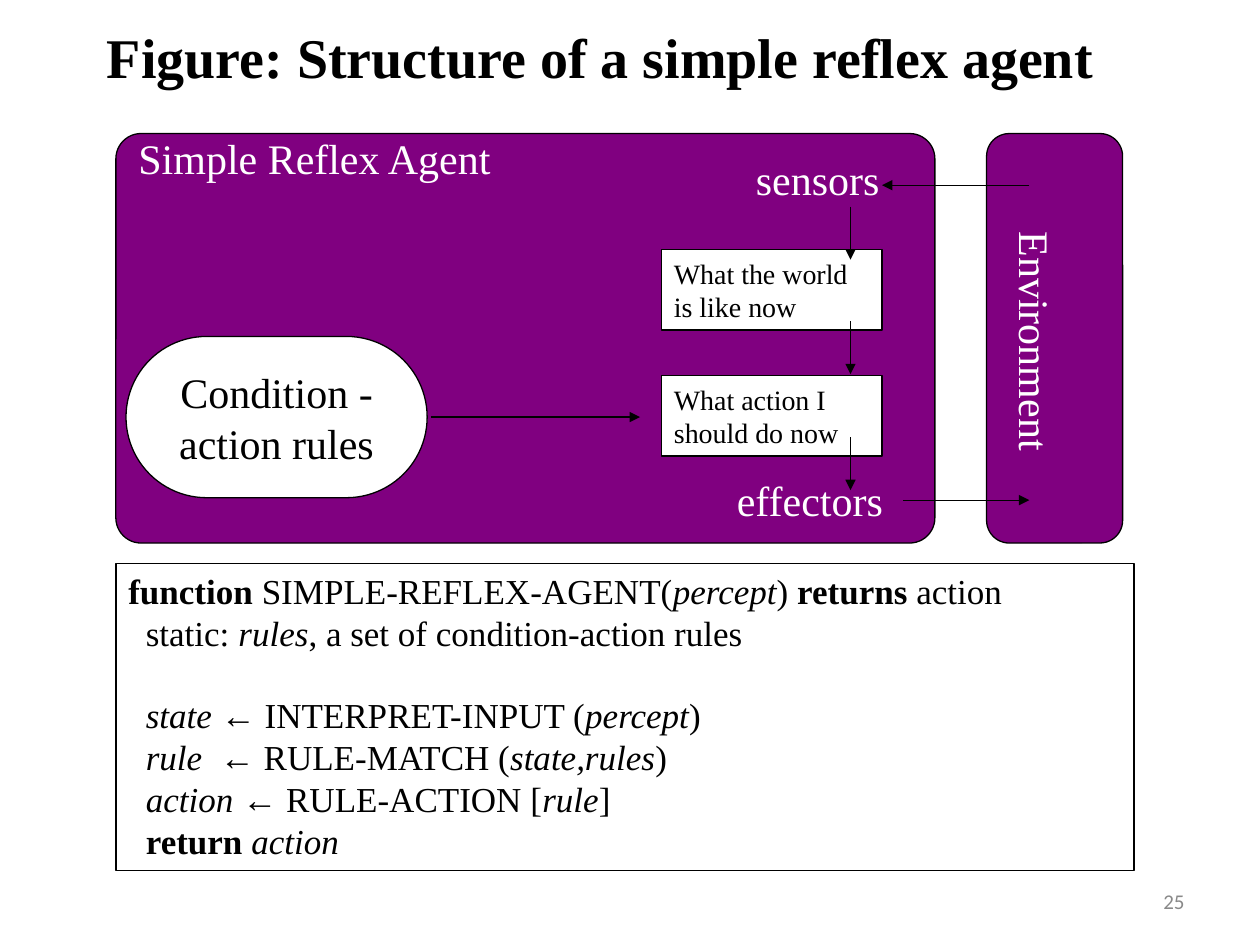
from lxml import etree
from pptx import Presentation
from pptx.dml.color import RGBColor
from pptx.enum.shapes import MSO_CONNECTOR, MSO_SHAPE
from pptx.enum.text import MSO_ANCHOR, PP_ALIGN
from pptx.oxml.ns import qn
from pptx.util import Inches, Pt

RECT, ROUNDED = MSO_SHAPE.RECTANGLE, MSO_SHAPE.ROUNDED_RECTANGLE
LEFT, CENTER, RIGHT = PP_ALIGN.LEFT, PP_ALIGN.CENTER, PP_ALIGN.RIGHT
TOP, MIDDLE = MSO_ANCHOR.TOP, MSO_ANCHOR.MIDDLE
COLORS = {"panel": "800080", "white": "FFFFFF", "ink": "000000", "number": "898989"}
SERIF, ARROW_FONT, NUMBER_FONT = "Times New Roman", "Arial", "Calibri"

TITLE = "Figure: Structure of a simple reflex agent"
PAGE_NUMBER = "25"
STEPS = ["What the world is like now", "What action I should do now"]
RULES = "Condition - action rules"

# Each line is a list of (text, style): b bold, i italic, a arrow, "" plain.
PROGRAM = [
    [("function", "b"), (" SIMPLE-REFLEX-AGENT(", ""), ("percept", "i"), (") ", ""),
     ("returns", "b"), (" action", "")],
    [("  static: ", ""), ("rules", "i"), (", a set of condition-action rules", "")],
    [("  ", ""), ("state ", "i"), ("←", "a"), (" INTERPRET-INPUT (", ""),
     ("percept", "i"), (")", "")],
    [("  ", ""), ("rule  ", "i"), ("←", "a"), (" RULE-MATCH (", ""),
     ("state,rules", "i"), (")", "")],
    [("  ", ""), ("action ", "i"), ("←", "a"), (" RULE-ACTION [", ""),
     ("rule", "i"), ("]", "")],
    [("  ", ""), ("return ", "b"), ("action", "i")],
]
BODY_START = 2  # first program line after the declarations
BODY_GAP = 23

# Shared guides of the diagram, in inches
EDGE, PANEL_TOP, PANEL_HEIGHT = 0.92, 1.06, 3.25
CORNER = 0.18
STEP_LEFT, STEP_TOP, STEP_WIDTH, STEP_HEIGHT, STEP_PITCH = 5.25, 1.98, 1.75, 0.64, 1
FLOW_X, FLOW_LENGTH = 6.75, 0.42
ENVIRONMENT_X = 8.17
RULES_TOP, RULES_HEIGHT = 2.67, 1.28
RULES_Y = RULES_TOP + RULES_HEIGHT / 2

LABELS = [  # text, box, wraps, rotation
    ("Simple Reflex Agent", (1, 1, 3.01, 0.5), False, 0),
    ("sensors", (5.9, 1.17, 1.18, 0.5), False, 0),
    ("effectors", (5.75, 3.72, 1.5, 0.5), True, 0),
    ("Environment", (7.25, 2.46, 1.94, 0.5), False, 90),
]
ARROWS = [(FLOW_X, y, FLOW_X, y + FLOW_LENGTH) for y in (1.64, 2.55, 3.47)] + [
    (3.42, RULES_Y, 5.08, RULES_Y),
    (ENVIRONMENT_X, 1.47, 7, 1.47),
    (7.17, 3.97, ENVIRONMENT_X, 3.97),
]


def rgb(name):
    return RGBColor.from_string(COLORS[name])


def add_run(paragraph, text, size, color="ink", style="", font=SERIF):
    run = paragraph.add_run()
    run.text = text
    run.font.name = ARROW_FONT if style == "a" else font
    run.font.size = Pt(size)
    run.font.color.rgb = rgb(color)
    run.font.bold = style == "b"
    run.font.italic = style == "i"


def set_frame(shape, anchor=TOP, wrap=True):
    frame = shape.text_frame
    frame.word_wrap = wrap
    frame.vertical_anchor = anchor
    return frame


def write(shape, text, size, color="ink", align=LEFT, anchor=TOP, wrap=True,
          style="", font=SERIF):
    paragraph = set_frame(shape, anchor, wrap).paragraphs[0]
    paragraph.alignment = align
    add_run(paragraph, text, size, color, style, font)


def add_box(slide, kind, box, fill=None, corner=None):
    """Add an outlined shape; corner is the radius in inches."""
    shape = slide.shapes.add_shape(kind, *map(Inches, box))
    shape.shadow.inherit = False
    shape.line.color.rgb = rgb("ink")
    shape.line.width = Pt(0.75)
    if fill:
        shape.fill.solid()
        shape.fill.fore_color.rgb = rgb(fill)
    else:
        shape.fill.background()
    if corner is not None:
        shape.adjustments[0] = corner / min(box[2:])
    return shape


def add_text(slide, box):
    return slide.shapes.add_textbox(*map(Inches, box))


def add_arrow(slide, ends):
    arrow = slide.shapes.add_connector(MSO_CONNECTOR.STRAIGHT, *map(Inches, ends))
    arrow.line.color.rgb = rgb("ink")
    arrow.line.width = Pt(0.75)
    etree.SubElement(arrow.line._get_or_add_ln(), qn("a:tailEnd"), type="triangle")
    etree.SubElement(arrow._element.spPr, qn("a:effectLst"))


def add_diagram(slide):
    for left, width in ((EDGE, 6.5), (7.83, 1.08)):
        add_box(slide, ROUNDED, (left, PANEL_TOP, width, PANEL_HEIGHT), "panel", CORNER + 0.02 * (width > 2))
    for row, step in enumerate(STEPS):
        box = (STEP_LEFT, STEP_TOP + row * STEP_PITCH, STEP_WIDTH, STEP_HEIGHT)
        write(add_box(slide, RECT, box, "white"), step, 16, align=LEFT, anchor=MIDDLE)
    rules = add_box(slide, ROUNDED, (1, RULES_TOP, 2.39, RULES_HEIGHT), "white",
                    RULES_HEIGHT / 2)
    write(rules, RULES, 24, align=CENTER, anchor=MIDDLE)
    for text, box, wrap, rotation in LABELS:
        label = add_text(slide, box)
        label.rotation = rotation
        write(label, text, 24, "white", wrap=wrap)
    for ends in ARROWS:
        add_arrow(slide, ends)


def add_program(slide):
    frame = set_frame(add_box(slide, RECT, (EDGE, 4.47, 8.08, 2.44)))
    for number, line in enumerate(PROGRAM):
        paragraph = frame.add_paragraph() if number else frame.paragraphs[0]
        paragraph.alignment = LEFT
        if number == BODY_START:
            paragraph.space_before = Pt(BODY_GAP)
        for text, style in line:
            add_run(paragraph, text, 20, style=style)


def main():
    deck = Presentation()
    deck.slide_width, deck.slide_height = Inches(10), Inches(7.5)
    slide = deck.slides.add_slide(deck.slide_layouts[6])
    add_diagram(slide)
    add_program(slide)
    write(add_text(slide, (0.75, 0.13, 8.12, 0.64)), TITLE, 32, style="b")
    write(add_text(slide, (7.17, 6.95, 2.33, 0.4)), PAGE_NUMBER, 12, "number",
          RIGHT, MIDDLE, font=NUMBER_FONT)
    deck.save("out.pptx")


if __name__ == "__main__":
    main()
